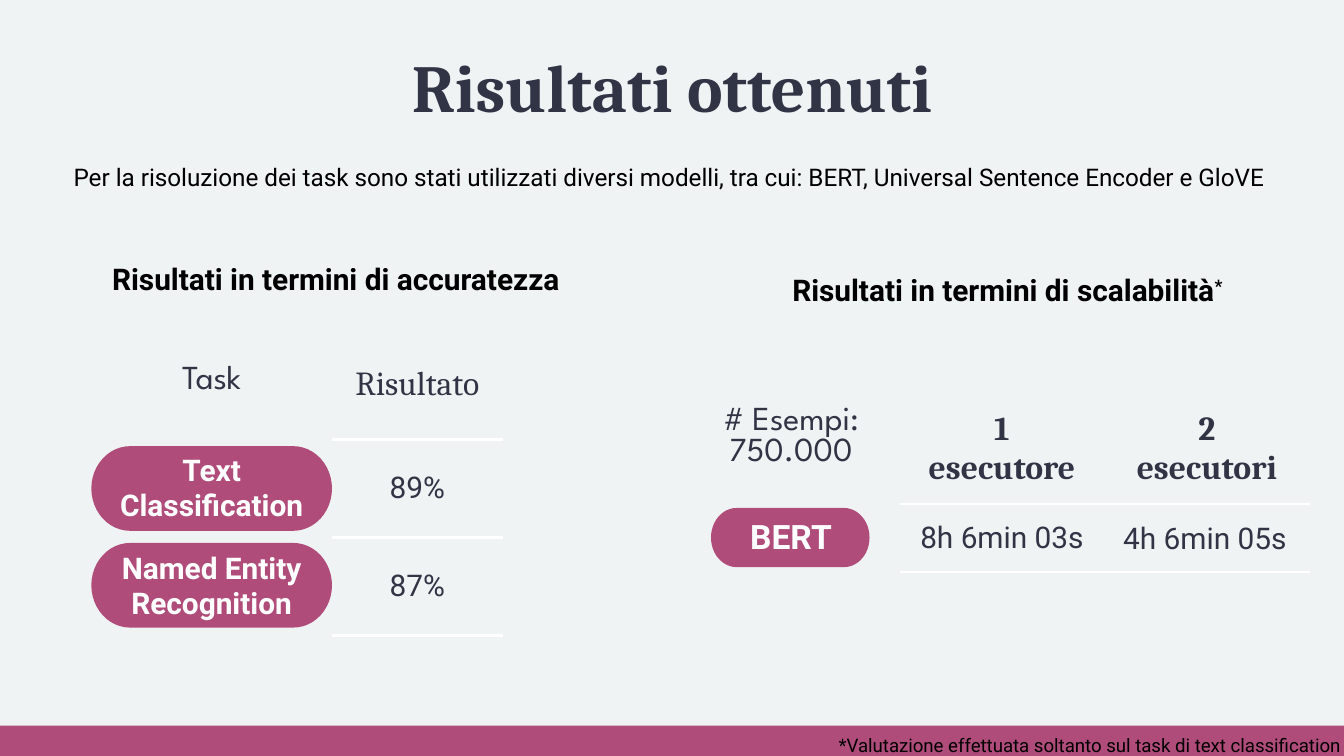
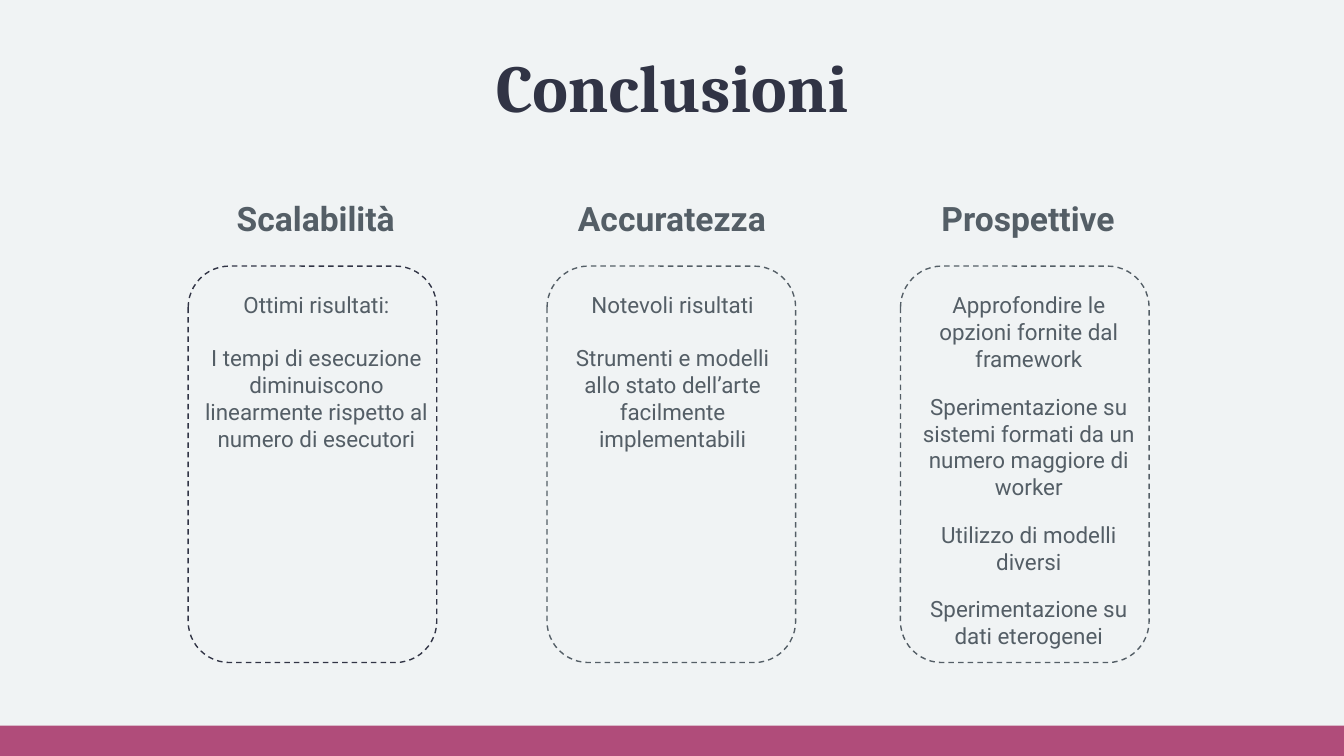
from lxml import etree
from pptx import Presentation
from pptx.dml.color import RGBColor
from pptx.enum.dml import MSO_LINE
from pptx.enum.shapes import MSO_SHAPE
from pptx.enum.text import MSO_ANCHOR, PP_ALIGN
from pptx.oxml.ns import qn
from pptx.util import Inches, Pt

RECTANGLE = MSO_SHAPE.RECTANGLE
PILL = MSO_SHAPE.FLOWCHART_TERMINATOR
ROUNDED = MSO_SHAPE.ROUNDED_RECTANGLE
DASH = MSO_LINE.DASH
CENTER, LEFT = PP_ALIGN.CENTER, PP_ALIGN.LEFT
TOP, MIDDLE = MSO_ANCHOR.TOP, MSO_ANCHOR.MIDDLE

# Shared look
BACKGROUND, ACCENT, WHITE, BLACK = "F0F3F4", "B04C7A", "FFFFFF", "000000"
NAVY, GREY = "313445", "545E66"
SERIF, SANS, DISPLAY = "Cambria", "Roboto", "League Spartan"
NO_GRID_STYLE = "{2D5ABB26-0587-4C30-8999-92F81FD0307C}"
WIDTH = 10
HEIGHT = WIDTH * 9 / 16
BAND_TOP = 5.4
BAND = (0, BAND_TOP, WIDTH, HEIGHT - BAND_TOP)
TITLE = (0.78, 0.24, 8.44, 0.67)


def text_format(name, size, color, bold=False):
    """Describe a font as a dict of values."""
    return {"name": name, "size": Pt(size), "bold": bold, "color": color}


TITLE_FONT = text_format(SERIF, 36, NAVY, True)
INTRO_FONT = text_format(SANS, 13, BLACK)
SECTION_FONT = text_format(SANS, 16, BLACK, True)
NOTE_FONT = text_format(SANS, 10, BLACK)
CORNER_FONT = text_format(DISPLAY, 18, NAVY)
HEADER_FONT = text_format(SERIF, 18, NAVY)
HEADER_BOLD = text_format(SERIF, 18, NAVY, True)
VALUE_FONT = text_format(SANS, 16, NAVY)
TASK_FONT = text_format(SANS, 16, WHITE, True)
MODEL_FONT = text_format(SANS, 18, WHITE, True)
CARD_TITLE_FONT = text_format(SANS, 18, GREY, True)
CARD_FONT = text_format(SANS, 12, GREY)

# Slide 1: tables are rows of (paragraphs, font)
RESULTS_TITLE = "Risultati ottenuti"
ACCURACY = {
    "origin": (0.68, 2.45), "columns": (1.79, 1.27), "rows": (0.82, 0.73, 0.73),
    "corner_inset": 0.27,
    "cells": [
        [(["Task"], CORNER_FONT), (["Risultato"], HEADER_FONT)],
        [(["Text Classification"], TASK_FONT), (["89%"], VALUE_FONT)],
        [(["Named Entity Recognition"], TASK_FONT), (["87%"], VALUE_FONT)],
    ],
}
SCALABILITY = {
    "origin": (5.07, 2.93), "columns": (1.63, 1.51, 1.54), "rows": (0.82, 0.5),
    "corner_inset": 0.1,
    "cells": [
        [(["# Esempi: 750.000"], CORNER_FONT), (["1", "esecutore"], HEADER_BOLD),
         (["2", "esecutori"], HEADER_BOLD)],
        [(["BERT"], MODEL_FONT), (["8h 6min 03s"], VALUE_FONT), ([], VALUE_FONT)],
    ],
}
PILLS = [(5.29, 3.78, 1.18, 0.44), (0.68, 3.32, 1.79, 0.63), (0.68, 4.04, 1.79, 0.63)]
# Text, box, font, alignment, inset
RESULTS_TEXTS = [
    ("4h 6min 05s", (8.24, 3.87, 1.45, 0.27), VALUE_FONT, CENTER, 0),
    ("Per la risoluzione dei task sono stati utilizzati diversi modelli, tra cui: "
     "BERT, Universal Sentence Encoder e GloVE",
     (0.45, 1.11, 9.1, 0.42), INTRO_FONT, LEFT, 0.1),
    ("Risultati in termini di accuratezza",
     (0.68, 1.94, 3.64, 0.27), SECTION_FONT, CENTER, 0),
    ("*Valutazione effettuata soltanto sul task di text classification",
     (6.24, 5.46, 3.77, 0.17), NOTE_FONT, LEFT, 0),
]
SCALABILITY_TITLE = "Risultati in termini di scalabilità"
SCALABILITY_TITLE_BOX = (5.77, 1.92, 3.45, 0.47)

# Slide 2: heading, frame left, frame colour, gap between paragraphs, paragraphs
CONCLUSIONS_TITLE = "Conclusioni"
CARDS = [
    ("Scalabilità", 1.4, NAVY, 14, [
        "Ottimi risultati:",
        "I tempi di esecuzione diminuiscono linearmente rispetto al numero di esecutori"]),
    ("Accuratezza", 4.07, GREY, 14, [
        "Notevoli risultati",
        "Strumenti e modelli allo stato dell’arte facilmente implementabili"]),
    ("Prospettive", 6.7, GREY, 11, [
        "Approfondire le opzioni fornite dal framework",
        "Sperimentazione su sistemi formati da un numero maggiore di worker",
        "Utilizzo di modelli diversi",
        "Sperimentazione su dati eterogenei"]),
]
CARD_LEFT, CARD_PITCH = 1.4, 2.65


def rgb(color):
    """Turn a hex string into a colour."""
    return RGBColor.from_string(color)


def inches(values):
    """Convert a sequence of numbers to lengths."""
    return [Inches(value) for value in values]


def style_run(run, values):
    """Apply a font dict to a run."""
    for key, value in values.items():
        if key == "color":
            run.font.color.rgb = rgb(value)
        else:
            setattr(run.font, key, value)


def write(frame, paragraphs, font, align=CENTER, gap=0):
    """Fill a text frame with equally formatted paragraphs."""
    for index, text in enumerate(paragraphs):
        paragraph = frame.add_paragraph() if index else frame.paragraphs[0]
        paragraph.alignment = align
        if index and gap:
            paragraph.space_before = Pt(gap)
        run = paragraph.add_run()
        run.text = text
        style_run(run, font)


def set_frame(frame, inset):
    """Make a frame wrap, start at the top and use one inset."""
    values = {"word_wrap": True, "vertical_anchor": TOP}
    for side in ("left", "right", "top", "bottom"):
        values["margin_" + side] = Inches(inset)
    for key, value in values.items():
        setattr(frame, key, value)


def add_text(slide, paragraphs, box, font, align=CENTER, inset=0.1, gap=0):
    """Add a text box and return its frame."""
    frame = slide.shapes.add_textbox(*inches(box)).text_frame
    set_frame(frame, inset)
    write(frame, paragraphs, font, align, gap)
    return frame


def add_shape(slide, kind, box, fill, line=None):
    """Add a flat shape, with a dashed outline if a line colour is given."""
    shape = slide.shapes.add_shape(kind, *inches(box))
    shape.shadow.inherit = False
    shape.fill.solid()
    shape.fill.fore_color.rgb = rgb(fill)
    if line:
        shape.line.color.rgb = rgb(line)
        shape.line.width = Pt(0.75)
        shape.line.dash_style = DASH
    else:
        shape.line.fill.background()
    return shape


def add_border(cell, tag):
    """Draw a white border on one side of a cell."""
    line = etree.Element(qn(tag), w=str(Pt(1.5)))
    fill = etree.SubElement(line, qn("a:solidFill"))
    etree.SubElement(fill, qn("a:srgbClr"), val=WHITE)
    cell._tc.get_or_add_tcPr().insert(0, line)


def add_table(slide, data):
    """Add a table ruled in white beside its first column."""
    columns, rows = data["columns"], data["rows"]
    size = (sum(columns), sum(rows))
    table = slide.shapes.add_table(
        len(rows), len(columns), *inches(data["origin"] + size)).table
    table.first_row = table.horz_banding = False
    table._tbl.tblPr.find(qn("a:tableStyleId")).text = NO_GRID_STYLE
    for column, width in zip(table.columns, columns):
        column.width = Inches(width)
    for row, height in zip(table.rows, rows):
        row.height = Inches(height)
    for i, row in enumerate(data["cells"]):
        for j, (paragraphs, font) in enumerate(row):
            cell = table.cell(i, j)
            corner = i == j == 0
            for side in ("left", "right", "top", "bottom"):
                setattr(cell, "margin_" + side, Inches(0.1))
            if corner:
                cell.margin_top = Inches(data["corner_inset"])
            cell.vertical_anchor = TOP if corner else MIDDLE
            cell.fill.background()
            write(cell.text_frame, paragraphs, font)
            if j:
                add_border(cell, "a:lnB")
                if i:
                    add_border(cell, "a:lnT")


def start_slide(presentation, title):
    """Add a slide with the bottom band and its title."""
    slide = presentation.slides.add_slide(presentation.slide_layouts[5])
    add_shape(slide, RECTANGLE, BAND, ACCENT)
    shape = slide.shapes.title
    shape.left, shape.top, shape.width, shape.height = inches(TITLE)
    set_frame(shape.text_frame, 0.1)
    write(shape.text_frame, [title], TITLE_FONT)
    return slide


def build_results(presentation):
    """Build the slide with the accuracy and scalability tables."""
    slide = start_slide(presentation, RESULTS_TITLE)
    for box in PILLS:
        add_shape(slide, PILL, box, ACCENT)
    for data in (SCALABILITY, ACCURACY):
        add_table(slide, data)
    for text, box, font, align, inset in RESULTS_TEXTS:
        add_text(slide, [text], box, font, align, inset)
    frame = add_text(slide, [SCALABILITY_TITLE], SCALABILITY_TITLE_BOX, SECTION_FONT)
    mark = frame.paragraphs[0].add_run()
    mark.text = "*"
    style_run(mark, SECTION_FONT)
    mark._r.get_or_add_rPr().set("baseline", "30000")


def build_conclusions(presentation):
    """Build the slide with three headed cards."""
    slide = start_slide(presentation, CONCLUSIONS_TITLE)
    for index, (heading, frame_left, color, gap, paragraphs) in enumerate(CARDS):
        left = CARD_LEFT + index * CARD_PITCH
        card = add_shape(slide, ROUNDED, (frame_left, 1.98, 1.85, 2.95), BACKGROUND, color)
        card.adjustments[0] = 0.167
        add_text(slide, [heading], (left - 0.12, 1.37, 2.14, 0.55), CARD_TITLE_FONT)
        add_text(slide, paragraphs, (left, 2.07, 1.91, 2.86), CARD_FONT, gap=gap)


def main():
    """Build and save the presentation."""
    presentation = Presentation()
    presentation.slide_width, presentation.slide_height = inches((WIDTH, HEIGHT))
    fill = presentation.slide_master.background.fill
    fill.solid()
    fill.fore_color.rgb = rgb(BACKGROUND)
    build_results(presentation)
    build_conclusions(presentation)
    presentation.save("out.pptx")


main()
